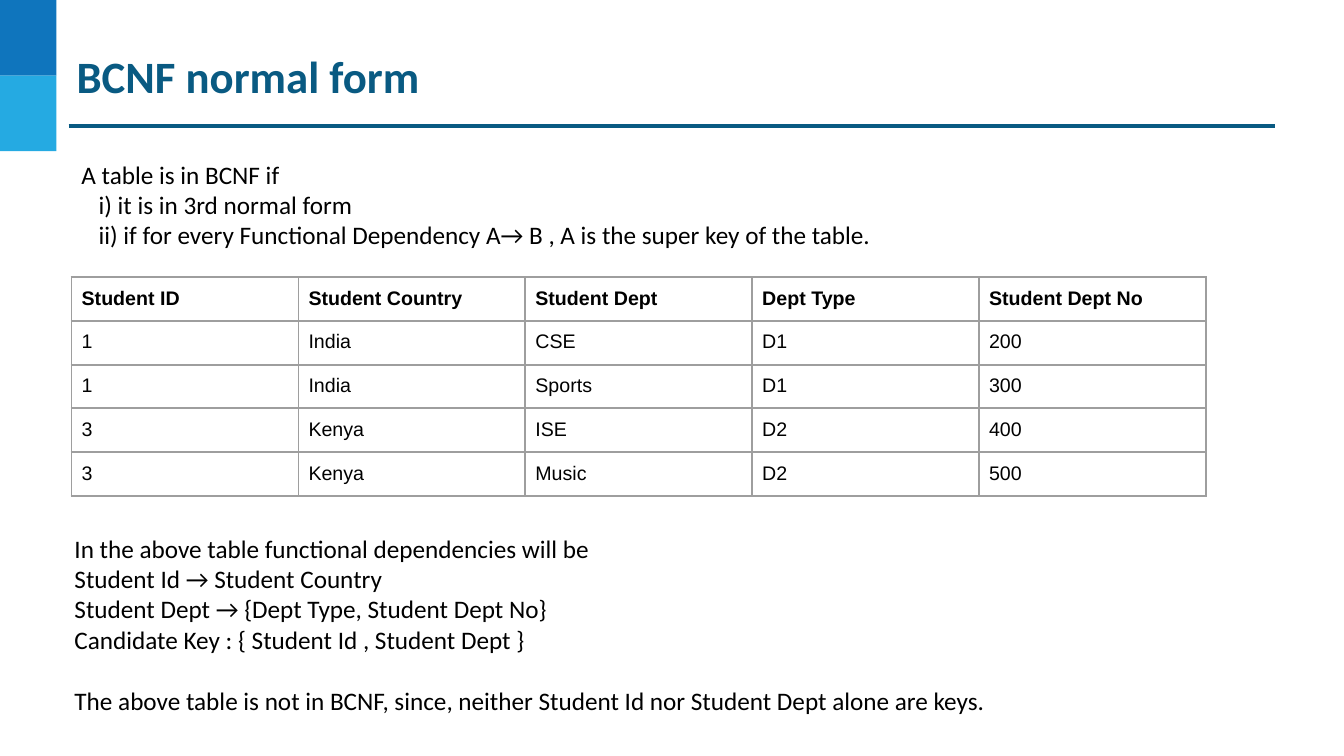
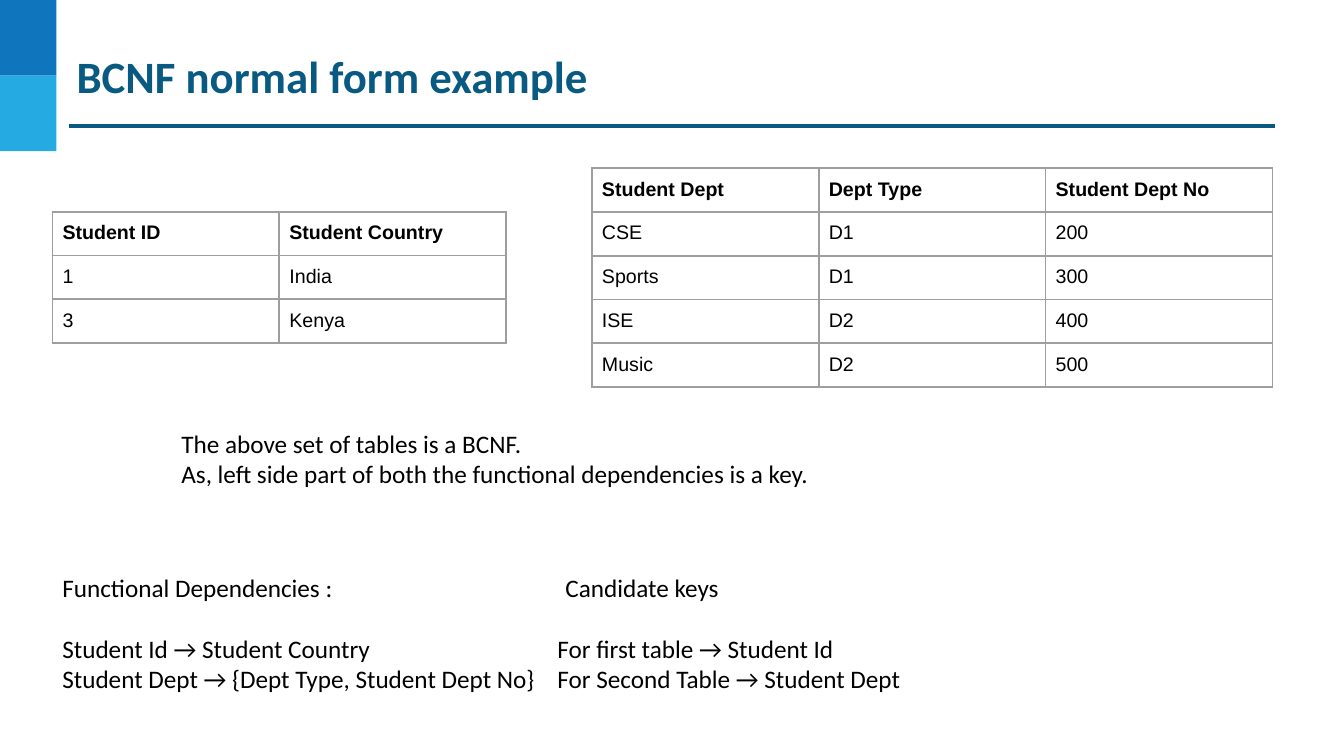
from pptx import Presentation
from pptx.dml.color import RGBColor
from pptx.enum.shapes import MSO_CONNECTOR as Conn, MSO_SHAPE as Shape
from pptx.oxml import parse_xml
from pptx.oxml.ns import nsdecls
from pptx.util import Inches, Pt

BLACK = RGBColor(0x00, 0x00, 0x00)
TEAL = RGBColor(0x09, 0x5A, 0x82)
BLUE = RGBColor(0x0F, 0x75, 0xBD)
SKY = RGBColor(0x25, 0xAA, 0xE2)
GRAY = RGBColor(0x9E, 0x9E, 0x9E)


def write(para, text, font="Calibri", size=18, color=BLACK, bold=False,
          indent=0, gap=0):
    """Put formatted text in a paragraph; gap is the space before in points."""
    if indent:
        para._p.get_or_add_pPr().set("marL", str(Inches(indent)))
    if gap:
        para.space_before = Pt(gap)
    run = para.add_run()
    run.text = text
    run.font.name, run.font.size = font, Pt(size)
    run.font.bold, run.font.color.rgb = bold, color


class Deck:
    COL, ROW = 2.25, 0.43  # table cell size
    PAD = 0.1
    LINE = 22  # one blank line of body text, in points

    def __init__(self):
        self.prs = Presentation()
        self.prs.slide_width, self.prs.slide_height = Inches(13.33), Inches(7.5)
        self.slide = None

    def page(self, title):
        """Start a slide with the side bands, title and rule."""
        self.slide = self.prs.slides.add_slide(self.prs.slide_layouts[6])
        for i, color in enumerate((BLUE, SKY)):
            self.band(0.75 * i, color)
        self.rule(0.68, 12.65, 1.25)
        self.text(0.74, 0.46, 11.97, 0.58, [title], pad=0.02,
                  size=32, color=TEAL, bold=True)

    def band(self, top, color):
        box = self.slide.shapes.add_shape(
            Shape.RECTANGLE, 0, Inches(top), Inches(0.56), Inches(0.75))
        box.shadow.inherit = False
        box.fill.solid()
        box.fill.fore_color.rgb = color
        box.line.fill.background()

    def rule(self, left, right, y):
        line = self.slide.shapes.add_connector(
            Conn.STRAIGHT, Inches(left), Inches(y), Inches(right), Inches(y))
        line.line.color.rgb, line.line.width = TEAL, Pt(2.25)
        line._element.spPr.append(parse_xml(f"<a:effectLst {nsdecls('a')}/>"))

    def text(self, left, top, width, height, lines, pad=PAD, **style):
        """Each line is a string or a (string, format) pair."""
        frame = self.slide.shapes.add_textbox(
            Inches(left), Inches(top), Inches(width), Inches(height)).text_frame
        frame.word_wrap = True
        frame.margin_left = frame.margin_right = Inches(pad)
        frame.margin_top = frame.margin_bottom = Inches(pad)
        for i, line in enumerate(lines):
            words, extra = (line, {}) if isinstance(line, str) else line
            para = frame.add_paragraph() if i else frame.paragraphs[0]
            write(para, words, **{**style, **extra})

    def table(self, left, top, rows):
        count, wide = len(rows), len(rows[0])
        grid = self.slide.shapes.add_table(
            count, wide, Inches(left), Inches(top),
            Inches(self.COL * wide), Inches(self.ROW * count)).table
        grid.horz_banding = False
        for r, row in enumerate(rows):
            for c, words in enumerate(row):
                cell = grid.cell(r, c)
                cell.margin_left = cell.margin_right = Inches(self.PAD)
                cell.margin_top = cell.margin_bottom = Inches(self.PAD)
                self.border(cell)
                cell.fill.background()
                write(cell.text_frame.paragraphs[0], words,
                      font="Arial", size=14, bold=r == 0)

    def border(self, cell):
        props = cell._tc.get_or_add_tcPr()
        for side in "LRTB":
            props.append(parse_xml(
                f'<a:ln{side} {nsdecls("a")} w="{Pt(1.5)}"><a:solidFill>'
                f'<a:srgbClr val="{GRAY}"/></a:solidFill></a:ln{side}>'))


def main():
    deck = Deck()
    apart = {"gap": deck.LINE}

    # Rule and the table that breaks it
    deck.page("BCNF normal form")
    deck.text(0.71, 1.48, 11.91, 1.1, [
        "A table is in BCNF if",
        ("i) it is in 3rd normal form", {"indent": 0.17}),
        ("ii) if for every Functional Dependency A→ B , "
         "A is the super key of the table.", {"indent": 0.17}),
    ])
    deck.table(0.71, 2.75, [
        ("Student ID", "Student Country", "Student Dept", "Dept Type",
         "Student Dept No"),
        ("1", "India", "CSE", "D1", "200"),
        ("1", "India", "Sports", "D1", "300"),
        ("3", "Kenya", "ISE", "D2", "400"),
        ("3", "Kenya", "Music", "D2", "500"),
    ])
    deck.text(0.64, 5.19, 11.91, 2.02, [
        "In the above table functional dependencies will be",
        "Student Id → Student Country",
        "Student Dept → {Dept Type, Student Dept No}",
        "Candidate Key : { Student Id , Student Dept }",
        ("The above table is not in BCNF, since, neither Student Id "
         "nor Student Dept alone are keys.", apart),
    ])

    # Split tables
    deck.page("BCNF normal form example")
    deck.text(1.7, 4.15, 11.02, 0.81, [
        "The above set of tables is a BCNF.",
        "As, left side part of both the functional dependencies is a key.",
    ])
    deck.table(0.52, 2.1, [
        ("Student ID", "Student Country"),
        ("1", "India"),
        ("3", "Kenya"),
    ])
    deck.table(5.87, 1.67, [
        ("Student Dept", "Dept Type", "Student Dept No"),
        ("CSE", "D1", "200"),
        ("Sports", "D1", "300"),
        ("ISE", "D2", "400"),
        ("Music", "D2", "500"),
    ])

    # Dependencies and keys, side by side
    deck.text(0.52, 5.58, 4.9, 1.4, [
        "Functional Dependencies :",
        ("Student Id → Student Country", apart),
        "Student Dept → {Dept Type, Student Dept No}",
    ])
    deck.text(5.43, 5.58, 7, 1.4, [
        ("Candidate keys", {"indent": 0.08}),
        ("For first table → Student Id", apart),
        "For Second Table → Student Dept",
    ])

    deck.prs.save("out.pptx")


if __name__ == "__main__":
    main()
